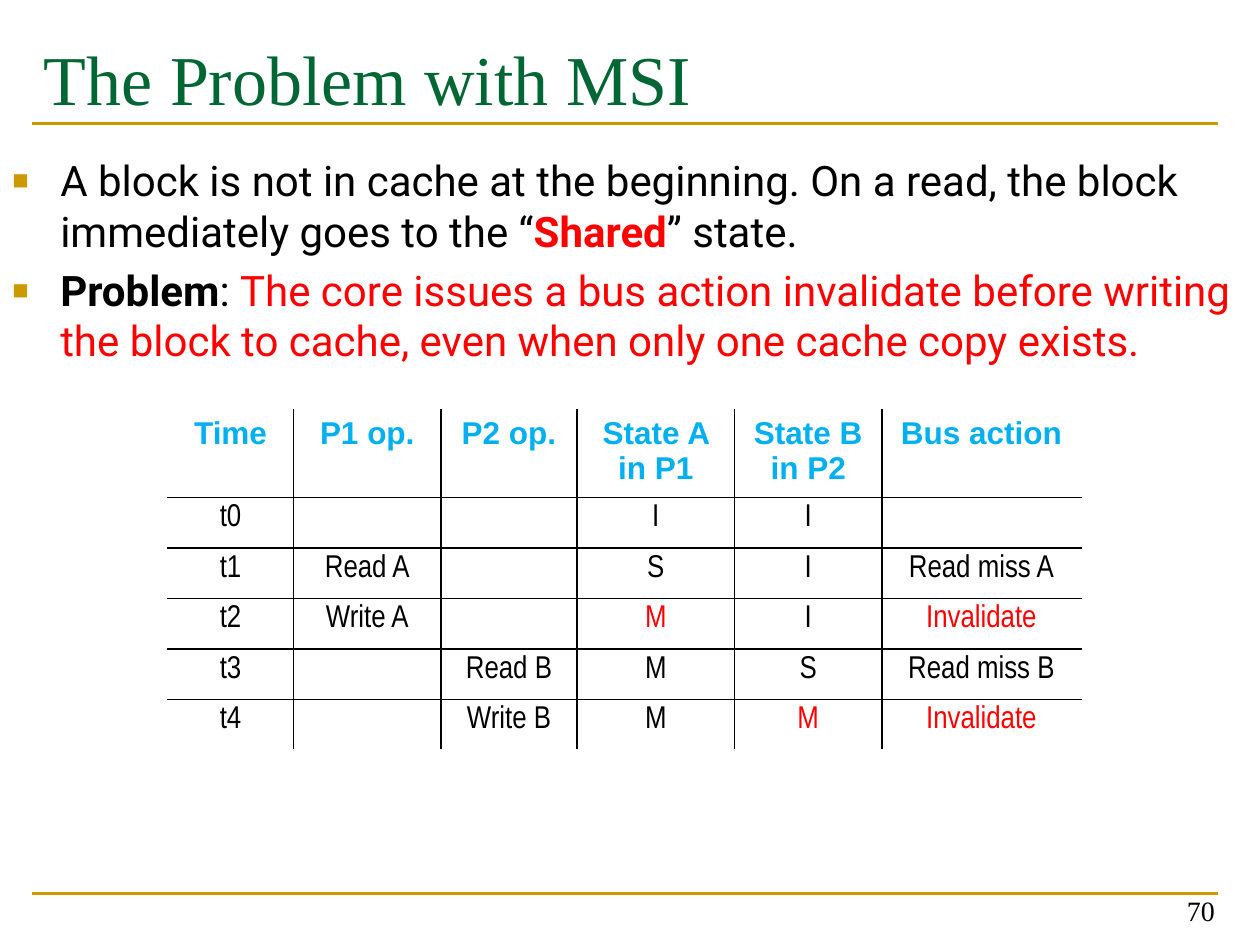
import dataclasses

import pptx
import pptx.dml.color
import pptx.enum.shapes
import pptx.enum.text
import pptx.oxml
import pptx.oxml.ns
import pptx.util

Inches = pptx.util.Inches
Pt = pptx.util.Pt
Align = pptx.enum.text.PP_ALIGN
Anchor = pptx.enum.text.MSO_ANCHOR
NAMESPACE = pptx.oxml.ns.nsdecls("a")


@dataclasses.dataclass(frozen=True)
class Theme:
    ink: str = "000000"
    paper: str = "FFFFFF"
    gold: str = "CC9900"
    green: str = "006633"
    red: str = "FF0000"
    blue: str = "00B0F0"
    serif: str = "Times New Roman"
    body: str = "Roboto"
    header: str = "Arial"
    cell: str = "Arial Narrow"
    title_size: int = 40
    body_size: int = 24
    table_size: int = 18
    number_size: int = 16


def rgb(color):
    return pptx.dml.color.RGBColor.from_string(color)


class SlideBuilder:
    """Draws themed elements on the current slide."""

    def __init__(self, slide, theme):
        self.slide = slide
        self.theme = theme

    def style(self, run, face, size, color, bold=False):
        run.font.name = face
        run.font.size = Pt(size)
        run.font.bold = bold
        run.font.color.rgb = rgb(color)

    def rule(self, y):
        rule = self.slide.shapes.add_connector(
            pptx.enum.shapes.MSO_CONNECTOR.STRAIGHT,
            Inches(0.25), Inches(y), Inches(9.67), Inches(y))
        rule.line.color.rgb = rgb(self.theme.gold)
        rule.line.width = Pt(1.5)
        rule._element.spPr.append(pptx.oxml.parse_xml(f"<a:effectLst {NAMESPACE}/>"))

    def frame(self, bounds, anchor=Anchor.TOP):
        frame = self.slide.shapes.add_textbox(*map(Inches, bounds)).text_frame
        frame.word_wrap = True
        frame.vertical_anchor = anchor
        return frame

    def label(self, text, bounds, size, color, align=Align.LEFT, anchor=Anchor.TOP):
        frame = self.frame(bounds, anchor)
        frame.text = text
        paragraph = frame.paragraphs[0]
        paragraph.alignment = align
        self.style(paragraph.runs[0], self.theme.serif, size, color)

    def bullets(self, points, bounds):
        frame = self.frame(bounds)
        for index, point in enumerate(points):
            paragraph = frame.add_paragraph() if index else frame.paragraphs[0]
            if index:
                paragraph.space_before = Pt(5)
            properties = paragraph._p.get_or_add_pPr()
            properties.set("marL", str(Inches(0.38)))
            properties.set("indent", str(-Inches(0.38)))
            for bullet in (
                f'<a:buClr {NAMESPACE}><a:srgbClr val="{self.theme.gold}"/></a:buClr>',
                f'<a:buSzPct {NAMESPACE} val="65000"/>',
                f'<a:buFont {NAMESPACE} typeface="{self.theme.header}"/>',
                f'<a:buChar {NAMESPACE} char="■"/>',
            ):
                properties.append(pptx.oxml.parse_xml(bullet))
            for text, color, bold in point:
                run = paragraph.add_run()
                run.text = text
                self.style(run, self.theme.body, self.theme.body_size, color, bold)

    def borders(self, cell, outer_sides):
        properties = cell._tc.get_or_add_tcPr()
        for side in "LRTB":
            color = self.theme.paper if side in outer_sides else self.theme.ink
            properties.append(pptx.oxml.parse_xml(
                f'<a:ln{side} {NAMESPACE} w="{Pt(1)}"><a:solidFill>'
                f'<a:srgbClr val="{color}"/></a:solidFill></a:ln{side}>'))

    def table(self, rows, origin, widths, heights, highlights):
        theme = self.theme
        table = self.slide.shapes.add_table(
            len(rows), len(widths), *map(Inches, origin),
            Inches(sum(widths)), Inches(sum(heights))).table
        for column, width in zip(table.columns, widths):
            column.width = Inches(width)
        for row, height in zip(table.rows, heights):
            row.height = Inches(height)
        last_row, last_column = len(rows) - 1, len(widths) - 1
        for r, row in enumerate(rows):
            for c, text in enumerate(row):
                cell = table.cell(r, c)
                edges = {"L": c == 0, "R": c == last_column,
                         "T": r == 0, "B": r == last_row}
                self.borders(cell, [side for side, outer in edges.items() if outer])
                cell.fill.solid()
                cell.fill.fore_color.rgb = rgb(theme.paper)
                cell.text_frame.text = text
                paragraph = cell.text_frame.paragraphs[0]
                paragraph.alignment = Align.CENTER
                face = theme.cell if r else theme.header
                color = theme.ink if r else theme.blue
                if (r, c) in highlights:
                    color = theme.red
                for run in paragraph.runs:
                    self.style(run, face, theme.table_size, color, r == 0)


def main():
    theme = Theme()
    deck = pptx.Presentation()
    deck.slide_width, deck.slide_height = Inches(10), Inches(7.5)
    builder = SlideBuilder(deck.slides.add_slide(deck.slide_layouts[6]), theme)

    for y in (7.09, 0.98):
        builder.rule(y)
    builder.label("The Problem with MSI", (0.25, 0.23, 9.42, 1.11),
                  theme.title_size, theme.green)
    builder.bullets([
        [("A block is not in cache at the beginning. On a read, the block "
          "immediately goes to the “", theme.ink, False),
         ("Shared", theme.red, True),
         ("” state.", theme.ink, False)],
        [("Problem", theme.ink, True),
         (": ", theme.ink, False),
         ("The core issues a bus action invalidate before writing the block "
          "to cache, even when only one cache copy exists.", theme.red, False)],
    ], (0, 1.18, 10.08, 2.57))
    builder.label("70", (7.41, 6.91, 2.33, 0.5), theme.number_size, theme.ink,
                  Align.RIGHT, Anchor.BOTTOM)

    coherence_trace = [
        ["Time", "P1 op.", "P2 op.", "State A in P1", "State B in P2", "Bus action"],
        ["t0", "", "", "I", "I", ""],
        ["t1", "Read A", "", "S", "I", "Read miss A"],
        ["t2", "Write A", "", "M", "I", "Invalidate"],
        ["t3", "", "Read B", "M", "S", "Read miss B"],
        ["t4", "", "Write B", "M", "M", "Invalidate"],
    ]
    builder.table(coherence_trace, (1.33, 3.25),
                  [1, 1.17, 1.08, 1.25, 1.17, 1.58],
                  [0.69, 0.39] + [0.4] * 4,
                  {(3, 3), (3, 5), (5, 4), (5, 5)})
    deck.save("out.pptx")


if __name__ == "__main__":
    main()
